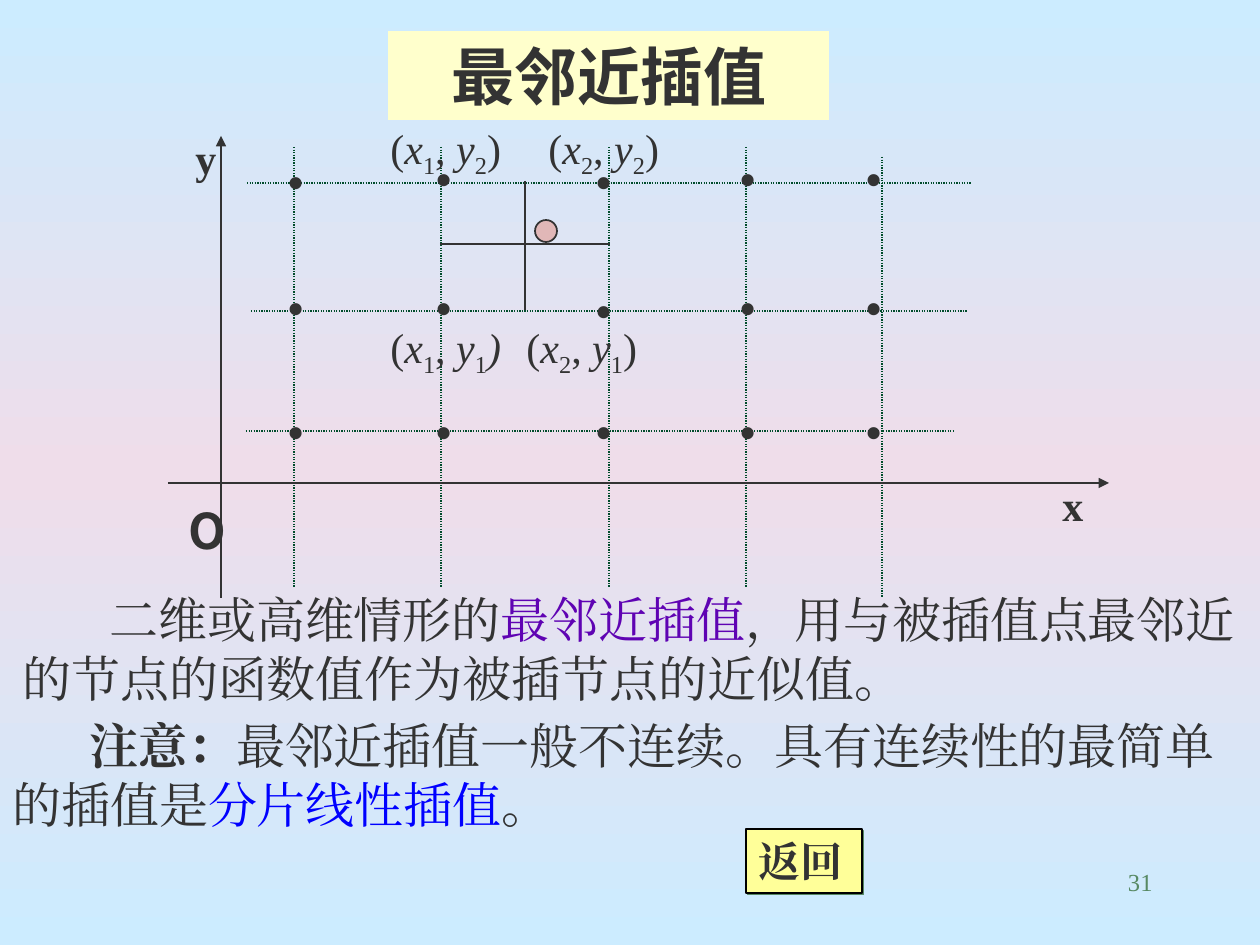
from copy import deepcopy
from dataclasses import dataclass
from typing import Optional

from lxml import etree
from pptx import Presentation
from pptx.dml.color import RGBColor
from pptx.enum.dml import MSO_LINE
from pptx.enum.shapes import MSO_CONNECTOR, MSO_SHAPE
from pptx.enum.text import MSO_ANCHOR, MSO_AUTO_SIZE, PP_ALIGN
from pptx.oxml.ns import qn
from pptx.util import Emu, Pt

STRAIGHT = MSO_CONNECTOR.STRAIGHT
DOTTED = MSO_LINE.ROUND_DOT
RECT, OVAL = MSO_SHAPE.RECTANGLE, MSO_SHAPE.OVAL
TOP, MIDDLE = MSO_ANCHOR.TOP, MSO_ANCHOR.MIDDLE
LEFT, CENTER, RIGHT = PP_ALIGN.LEFT, PP_ALIGN.CENTER, PP_ALIGN.RIGHT

PX_PER_INCH = 126
SERIF, SANS = "Times New Roman", "Arial"
CJK_SC, CJK_JP = "Noto Sans CJK SC", "Noto Sans CJK JP"
INK, GREEN, SAGE = "333333", "004C2B", "578963"
PURPLE, BLUE = "5F03B3", "0000FF"


@dataclass(frozen=True)
class Run:
    text: str
    size: int = 24
    color: str = INK
    font: str = SERIF
    bold: bool = False
    italic: bool = False
    subscript: bool = False


@dataclass(frozen=True)
class Box:
    x: int
    y: int
    w: int
    h: int


@dataclass(frozen=True)
class Line:
    x1: int
    y1: int
    x2: int
    y2: int
    color: str = INK
    width: float = 1
    dotted: bool = False
    arrow: Optional[str] = None


@dataclass(frozen=True)
class NodeLabel:
    box: Box
    i: int
    j: int
    italic_end: bool = False


def px(n: int) -> Emu:
    return Emu(round(n * 914400 / PX_PER_INCH))


def rgb(color: str) -> RGBColor:
    return RGBColor.from_string(color)


def place(shape, box: Box) -> None:
    shape.left, shape.top = px(box.x), px(box.y)
    shape.width, shape.height = px(box.w), px(box.h)


def write(shape, runs: list[Run], align=LEFT, anchor=TOP, indent: int = 0, wrap: bool = True) -> None:
    tf = shape.text_frame
    tf.word_wrap = wrap
    tf.auto_size = MSO_AUTO_SIZE.NONE
    tf.vertical_anchor = anchor
    p = tf.paragraphs[0]
    p.alignment = align
    if indent:
        p._p.get_or_add_pPr().set("indent", str(px(indent)))
    for run in runs:
        r = p.add_run()
        r.text = run.text
        f = r.font
        f.size, f.bold, f.italic = Pt(run.size), run.bold, run.italic
        f.color.rgb = rgb(run.color)
        f.name = run.font
        rPr = r._r.get_or_add_rPr()
        etree.SubElement(rPr, qn("a:ea"), typeface=run.font)
        if run.subscript:
            rPr.set("baseline", "-25000")


def add_text(s, box: Box, *runs: Run, **layout) -> None:
    tb = s.shapes.add_textbox(0, 0, 0, 0)
    place(tb, box)
    write(tb, list(runs), **layout)


def add_shape(s, kind, box: Box, fill: str, outline: str):
    sp = s.shapes.add_shape(kind, 0, 0, 0, 0)
    place(sp, box)
    sp.shadow.inherit = False
    sp.fill.solid()
    sp.fill.fore_color.rgb = rgb(fill)
    sp.line.color.rgb = rgb(outline)
    sp.line.width = Pt(1)
    return sp


def add_line(s, line: Line) -> None:
    c = s.shapes.add_connector(STRAIGHT, px(line.x1), px(line.y1), px(line.x2), px(line.y2))
    c.line.color.rgb = rgb(line.color)
    c.line.width = Pt(line.width)
    if line.dotted:
        c.line.dash_style = DOTTED
    if line.arrow:
        etree.SubElement(c.line._get_or_add_ln(), qn(f"a:{line.arrow}"), type="triangle")
    etree.SubElement(c._element.spPr, qn("a:effectLst"))


def add_node_label(s, label: NodeLabel) -> None:
    add_text(s, label.box, Run("("), Run("x", italic=True), Run(str(label.i), subscript=True),
             Run(", "), Run("y", italic=True), Run(str(label.j), subscript=True),
             Run(")", italic=label.italic_end))


def paint_background(s, edge: str, middle: str) -> None:
    fill = s.background.fill
    fill.gradient()
    fill.gradient_angle = 90
    first = s.element.find(".//" + qn("a:gs"))
    first.addnext(deepcopy(first))
    for stop, color, position in zip(fill.gradient_stops, (edge, middle, edge), (0, 0.5, 1)):
        stop.color.rgb = rgb(color)
        stop.position = position


def add_hard_shadow(sp, color: str) -> None:
    effects = sp._element.spPr.find(qn("a:effectLst"))
    shadow = etree.SubElement(effects, qn("a:outerShdw"), dist=str(Pt(1.4)), dir="2700000",
                              algn="ctr", rotWithShape="0")
    etree.SubElement(shadow, qn("a:srgbClr"), val=color)


GRID = [Line(x, y, x, y + 441, GREEN, 0.75, True)
        for x, y in ((294, 147), (441, 147), (609, 147), (746, 147), (882, 157))]
GRID += [Line(x1, y, x2, y, GREEN, 0.75, True)
         for x1, x2, y in ((247, 971, 183), (251, 968, 311), (246, 955, 431))]
AXES = [Line(168, 483, 1109, 483, width=0.75, arrow="tailEnd"),
        Line(221, 136, 221, 598, width=0.75, arrow="headEnd")]
CELL_CROSS = [Line(525, 181, 525, 310), Line(440, 244, 610, 244)]

DOT_COLUMNS = (276, 424, 584, 728, 854)
DOT_ROWS = ((149, 146, 149, 146, 146), (275, 275, 278, 275, 275), (399,) * 5)

NODE_LABELS = [
    NodeLabel(Box(378, 315, 168, 71), 1, 1, italic_end=True),
    NodeLabel(Box(378, 116, 168, 71), 1, 2),
    NodeLabel(Box(514, 315, 158, 71), 2, 1),
    NodeLabel(Box(536, 116, 210, 71), 2, 2),
]


def main() -> None:
    prs = Presentation()
    prs.slide_width, prs.slide_height = px(1260), px(945)
    s = prs.slides.add_slide(prs.slide_layouts[5])
    paint_background(s, "CCECFF", "EFDDEA")

    title = s.shapes.title
    place(title, Box(388, 31, 441, 89))
    title.fill.solid()
    title.fill.fore_color.rgb = rgb("FFFFCC")
    write(title, [Run("最邻近插值", 36, font=CJK_SC, bold=True)], align=CENTER, anchor=MIDDLE)

    for line in GRID + AXES + CELL_CROSS:
        add_line(s, line)
    for row in DOT_ROWS:
        for x, y in zip(DOT_COLUMNS, row):
            add_text(s, Box(x, y, 87, 63), Run("•", font=SANS, bold=True))
    add_shape(s, OVAL, Box(535, 220, 22, 22), "E1B7B7", INK)
    for label in NODE_LABELS:
        add_node_label(s, label)
    add_text(s, Box(1050, 473, 115, 63), Run("x", bold=True))
    add_text(s, Box(183, 126, 87, 63), Run("y", bold=True))
    add_text(s, Box(176, 494, 54, 72), Run("O", 28, font=CJK_JP, bold=True), wrap=False)

    add_text(s, Box(10, 583, 1250, 131), Run("二维或高维情形的", 28),
             Run("最邻近插值", 28, PURPLE),
             Run("，用与被插值点最邻近的节点的函数值作为被插节点的近似值。", 28), indent=87)
    add_text(s, Box(0, 709, 1260, 131), Run("注意：", 28, bold=True),
             Run("最邻近插值一般不连续。具有连续性的最简单的插值是", 28),
             Run("分片线性插值", 28, BLUE), Run("。", 28), indent=77)

    button = add_shape(s, RECT, Box(746, 829, 116, 64), "FFFF99", "000000")
    add_hard_shadow(button, SAGE)
    write(button, [Run("返回", bold=True)], anchor=MIDDLE)
    add_text(s, Box(903, 861, 262, 63), Run("31", 14, SAGE), align=RIGHT)
    prs.save("out.pptx")


if __name__ == "__main__":
    main()
